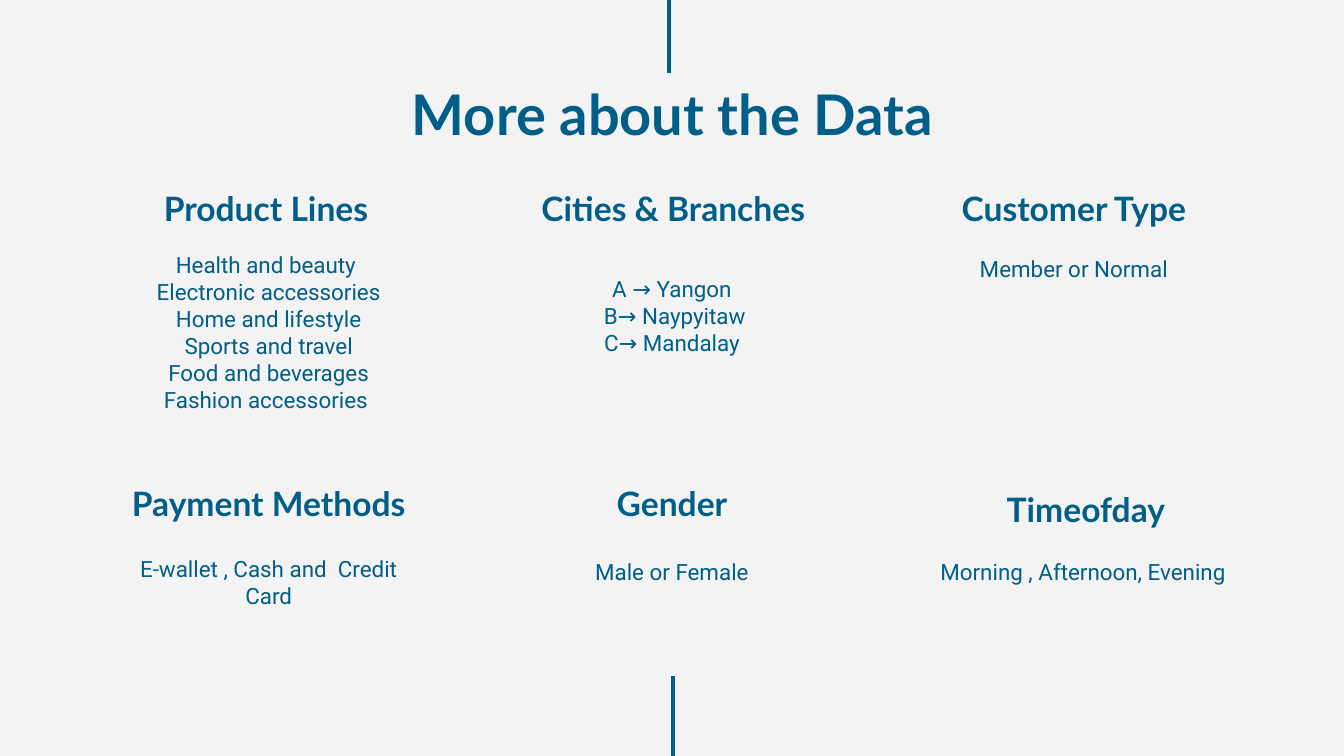
from lxml import etree
from pptx import Presentation
from pptx import util as u
from pptx.dml.color import RGBColor
from pptx.enum import shapes, text
from pptx.oxml import ns

SLIDE_W = 10
SLIDE_H = SLIDE_W * 9 / 16
BLUE = "005E88"
TITLE = {"name": "Lato", "size": u.Pt(30), "bold": True}
HEADING = {"name": "Lato", "size": u.Pt(18), "bold": True}
BODY = {"name": "Roboto", "size": u.Pt(12), "bold": False}
TOP, BOTTOM = text.MSO_ANCHOR.TOP, text.MSO_ANCHOR.BOTTOM
COL_W, HEADING_H, BODY_H = 2.44, 0.54, 1.27

# heading, heading (left, top), body (left, top), body lines
TOPICS = [
    ("Product Lines ", (0.79, 1.26), (0.78, 1.77),
     ["Health and beauty ", "Electronic accessories", "Home and lifestyle",
      "Sports and travel", "Food and beverages", "Fashion accessories "]),
    ("Cities & Branches", (3.79, 1.26), (3.78, 1.95),
     ["A → Yangon", " B→ Naypyitaw", "C→ Mandalay"]),
    ("Customer Type", (6.77, 1.26), (6.77, 1.8), ["Member or Normal"]),
    ("Payment Methods", (0.78, 3.45), (0.78, 4.03),
     ["E-wallet , Cash and  Credit Card"]),
    ("Gender", (3.78, 3.45), (3.78, 4.05), ["Male or Female"]),
    ("Timeofday", (6.86, 3.5), (6.86, 4.05),
     ["Morning , Afternoon, Evening "]),
]


def rgb(value):
    return RGBColor.from_string(value)


class SlideBuilder:
    def __init__(self, s, color, background):
        self.s = s
        self.color = rgb(color)
        s.background.fill.solid()
        s.background.fill.fore_color.rgb = rgb(background)

    def text_box(self, lines, left, top, width, height, style, anchor=TOP):
        sp = self.s.shapes.add_textbox(*map(u.Inches, (left, top, width, height)))
        tf = sp.text_frame
        tf.word_wrap = True
        tf.vertical_anchor = anchor
        for side in ("left", "top", "right", "bottom"):
            setattr(tf, f"margin_{side}", u.Inches(0.1))
        for i, line in enumerate(lines):
            p = tf.add_paragraph() if i else tf.paragraphs[0]
            p.alignment = text.PP_ALIGN.CENTER
            r = p.add_run()
            r.text = line
            r.font.color.rgb = self.color
            for name, value in style.items():
                setattr(r.font, name, value)

    def vertical_line(self, x, top, bottom):
        line = self.s.shapes.add_connector(
            shapes.MSO_CONNECTOR.STRAIGHT,
            *map(u.Inches, (x, top, x, bottom)))
        line.line.color.rgb = self.color
        line.line.width = u.Pt(2.25)
        etree.SubElement(line._element.spPr, ns.qn("a:effectLst"))

    def topic(self, heading, heading_at, body_at, lines):
        self.text_box([heading], *heading_at, COL_W, HEADING_H, HEADING, BOTTOM)
        self.text_box(lines, *body_at, COL_W, BODY_H, BODY)


def main():
    prs = Presentation()
    prs.slide_width, prs.slide_height = u.Inches(SLIDE_W), u.Inches(SLIDE_H)
    slide = SlideBuilder(prs.slides.add_slide(prs.slide_layouts[6]), BLUE, "F3F3F3")
    slide.text_box(["More about the Data"], 0.79, 0.49, 8.43, 0.63, TITLE)
    for topic in TOPICS:
        slide.topic(*topic)
    slide.vertical_line(4.98, 0, 0.54)
    slide.vertical_line(5.01, 5.03, SLIDE_H)
    prs.save("out.pptx")


if __name__ == "__main__":
    main()
